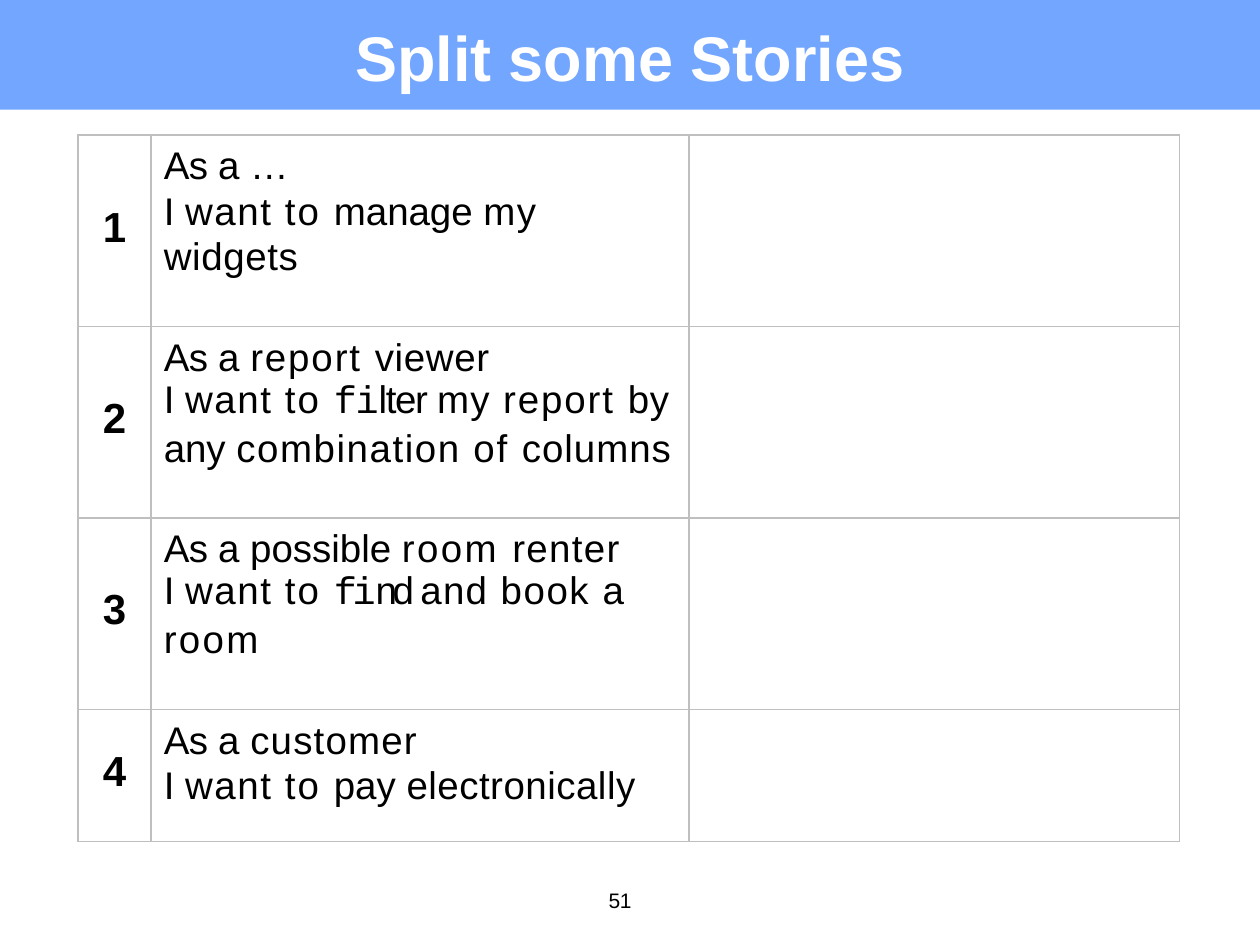
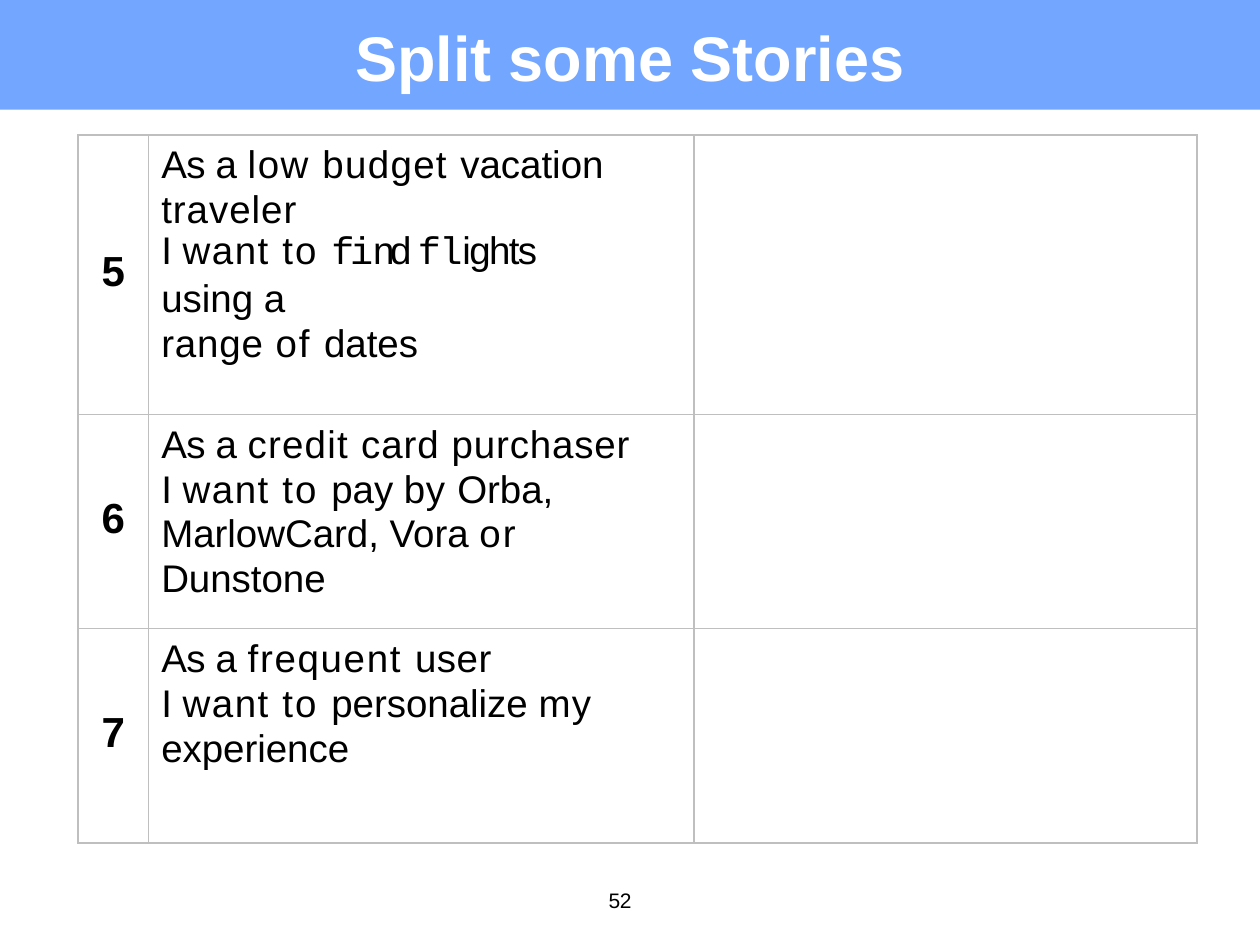
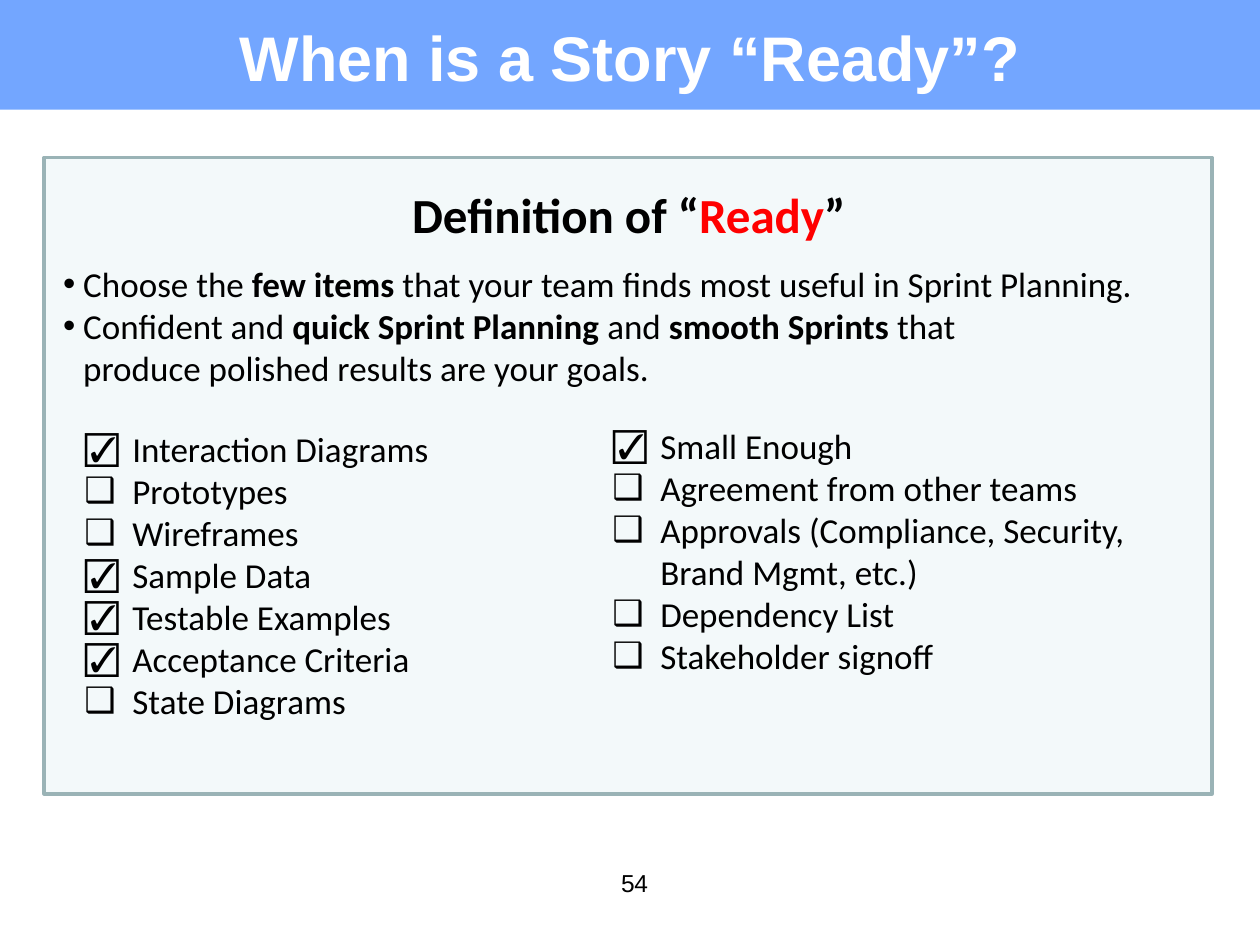
import pptx
import pptx.util
import pptx.dml.color
import pptx.enum.shapes
import pptx.enum.text
import pptx.oxml
import pptx.oxml.ns

Pt = pptx.util.Pt
ALIGN = pptx.enum.text.PP_ALIGN
ANCHOR = pptx.enum.text.MSO_ANCHOR
qn = pptx.oxml.ns.qn

# Shared look
BLUE, WHITE, BLACK, RED = "73A6FF", "FFFFFF", "000000", "FF0000"
RULE, PALE, EDGE = "BFBFBF", "E9F5F6", "9AB3B6"
SANS, BODY, MONO = "Arial", "Calibri", "Courier New"

# The slide is a grid of 100 columns by 75 rows
COLS, ROWS = 100, 75

# Letter spacing of single words, in points
TRACK = {
    "As": -0.3, "report": 1.1, "viewer": 0.4, "want": 0.9, "to": 1.2,
    "my": 0.8, "widgets": 0.4, "by": 0.4, "combination": 0.9, "of": 1.1,
    "columns": 0.6, "room": 1.4, "renter": 0.8, "and": 0.8, "book": 0.9,
    "customer": 0.7, "electronically": 0.3, "low": 0.9, "budget": 0.8,
    "traveler": 0.6, "range": 0.5, "credit": 0.7, "card": 0.6,
    "purchaser": 0.5, "or": 1.2, "frequent": 1, "user": 0.3,
}
# Words that begin with two letters in the mono font, and their spacing
MIXED = {"filter": -0.8, "find": -2.5, "flights": -0.9}

# Stories: number, paragraphs, right margin in columns
FIRST = [
    ("1", ["As a …", "I want to manage my widgets"], 2),
    ("2", ["As a report viewer",
           "I want to filter my report by any combination of columns"], 0),
    ("3", ["As a possible room renter I want to find and book a room"], 4.5),
    ("4", ["As a customer", "I want to pay electronically"], 0),
]
SECOND = [
    ("5", ["As a low budget vacation traveler",
           "I want to find flights using a", "range of dates"], 6),
    ("6", ["As a credit card purchaser I want to pay by Orba,",
           "MarlowCard, Vora or Dunstone"], 4.5),
    ("7", ["As a frequent user", "I want to personalize my experience"], 2),
]

# Checklists: True marks a ticked item
LEFT = [
    (True, "Interaction Diagrams"), (False, "Prototypes"),
    (False, "Wireframes"), (True, "Sample Data"),
    (True, "Testable Examples"), (True, "Acceptance Criteria"),
    (False, "State Diagrams"),
]
RIGHT = [
    (True, "Small Enough"), (False, "Agreement from other teams"),
    (False, "Approvals (Compliance, Security, Brand Mgmt, etc.)"),
    (False, "Dependency List"), (False, "Stakeholder signoff"),
]


def color(code):
    return pptx.dml.color.RGBColor.from_string(code)


def span(cells):
    """Length of some grid cells (a tenth of an inch each)."""
    return pptx.util.Inches(cells / 10)


def place(shape, x, y, w, h):
    shape.left, shape.top, shape.width, shape.height = map(span, (x, y, w, h))


def style(run, size, face=SANS, ink=BLACK, bold=False, track=0):
    font = run.font
    font.size, font.name, font.bold = Pt(size), face, bold
    font.color.rgb = color(ink)
    if track:
        run._r.get_or_add_rPr().set("spc", str(round(track * 100)))


def write(para, text, size, **look):
    run = para.add_run()
    run.text = text
    style(run, size, **look)


def frame(shape, top=0, wrap=True, anchor=ANCHOR.TOP):
    """Clear the insets of a text frame and return it."""
    box = shape.text_frame
    box.auto_size = pptx.enum.text.MSO_AUTO_SIZE.NONE
    box.word_wrap, box.vertical_anchor = wrap, anchor
    box.margin_left = box.margin_right = box.margin_bottom = 0
    box.margin_top = span(top)
    return box


def lines(box, count):
    """Return that many paragraphs of a text frame."""
    for _ in range(count - 1):
        box.add_paragraph()
    return box.paragraphs


def bullet(para, mark, left):
    """Hang the paragraph on a bullet, left given in columns."""
    props = para._p.get_or_add_pPr()
    props.set("marL", str(span(left)))
    props.set("indent", str(-span(left - 0.1)))
    face = pptx.oxml.parse_xml(
        f'<a:buFont {pptx.oxml.ns.nsdecls("a")} typeface="{SANS}"/>')
    char = pptx.oxml.parse_xml(
        f'<a:buChar {pptx.oxml.ns.nsdecls("a")} char="{mark}"/>')
    props.extend([face, char])


def panel(slide, x, y, w, h, fill, line=None, alpha=None):
    shape = slide.shapes.add_shape(
        pptx.enum.shapes.MSO_SHAPE.RECTANGLE, *map(span, (x, y, w, h)))
    shape.shadow.inherit = False
    shape.fill.solid()
    shape.fill.fore_color.rgb = color(fill)
    if alpha:
        tint = shape._element.spPr.find(".//" + qn("a:srgbClr"))
        pptx.oxml.ns  # namespaces come from the tint's own tree
        tint.append(pptx.oxml.parse_xml(
            f'<a:alpha {pptx.oxml.ns.nsdecls("a")} val="{alpha * 1000}"/>'))
    if line:
        shape.line.color.rgb, shape.line.width = color(line), Pt(2)
    else:
        shape.line.fill.background()
    # Keep panels behind the placeholders
    tree = slide.shapes._spTree
    tree.remove(shape._element)
    tree.insert(2, shape._element)


def start(deck, layout, title, width):
    """New slide with the blue band and a centred title."""
    slide = deck.slides.add_slide(deck.slide_layouts.get_by_name(layout))
    panel(slide, 0, 0, COLS, 8.7, BLUE)
    head = slide.shapes.title
    place(head, (COLS - width) / 2, 1.2, width, 6.3)
    box = frame(head, wrap=False, anchor=ANCHOR.BOTTOM)
    box.text = title
    para = box.paragraphs[0]
    para.alignment = ALIGN.CENTER
    style(para.runs[0], 36, ink=WHITE, bold=True)
    return slide


def number(slide, text, x, y, size):
    note = slide.shapes.add_textbox(*map(span, (x, y, 3, 2.3)))
    box = frame(note)
    box.margin_left = span(0.4)
    box.text = text
    para = box.paragraphs[0]
    para.line_spacing = Pt(size * 1.18)
    style(para.runs[0], size, track=-0.2)


def border(cell):
    props = cell._tc.get_or_add_tcPr()
    for spot, side in enumerate("LRTB"):
        props.insert(spot, pptx.oxml.parse_xml(
            f'<a:ln{side} {pptx.oxml.ns.nsdecls("a")} w="{Pt(1)}"><a:solidFill>'
            f'<a:srgbClr val="{RULE}"/></a:solidFill></a:ln{side}>'))


def story(para, text, pitch):
    """Write a story line word by word with its letter spacing."""
    para.line_spacing = Pt(pitch)
    words = text.split()
    for spot, word in enumerate(words):
        tail = " " if spot < len(words) - 1 else ""
        track = MIXED.get(word, TRACK.get(word, 0))
        if word in MIXED:
            write(para, word[:2], 22, face=MONO, track=track)
            word = word[2:]
        write(para, word + tail, 22, track=track)


def table(slide, stories, widths, heights, pitch):
    grid = slide.shapes.add_table(
        len(heights), len(widths),
        *map(span, (6.2, 10.7, sum(widths), sum(heights)))).table
    grid.first_row = grid.horz_banding = False
    for col, width in zip(grid.columns, widths):
        col.width = span(width)
    for row, height in zip(grid.rows, heights):
        row.height = span(height)
    for cell in grid.iter_cells():
        cell.fill.background()
        border(cell)
    for row, (label, texts, right) in enumerate(stories):
        # Number
        cell = grid.cell(row, 0)
        cell.margin_left = cell.margin_right = cell.margin_top = 0
        cell.margin_bottom = span(0.5)
        cell.vertical_anchor = ANCHOR.MIDDLE
        cell.text = label
        para = cell.text_frame.paragraphs[0]
        para.alignment = ALIGN.CENTER
        style(para.runs[0], 24, bold=True)
        # Story
        cell = grid.cell(row, 1)
        cell.margin_left, cell.margin_right = span(1), span(right)
        cell.margin_top, cell.margin_bottom = span(0.6), 0
        for para, text in zip(lines(cell.text_frame, len(texts)), texts):
            story(para, text, pitch)


def checks(shape, items, x, y, w, h):
    place(shape, x, y, w, h)
    box = frame(shape, top=0.1)
    for para, (done, text) in zip(lines(box, len(items)), items):
        para.text = text
        para.space_before = Pt(0)
        bullet(para, "☑" if done else "❑", 3.9)
        style(para.runs[0], 20, face=BODY)


def intro(slide):
    """Definition heading with its two bullet points."""
    note = slide.shapes.add_textbox(*map(span, (4.9, 12.2, 85.2, 18.8)))
    head, choose, goals = lines(frame(note, top=2.4), 3)
    head.alignment = ALIGN.CENTER
    head._p.get_or_add_pPr().set("marL", str(span(4.8)))
    for text, ink in (("Definition of “", BLACK), ("Ready", RED), ("”", BLACK)):
        write(head, text, 28, face=BODY, ink=ink, bold=True)
    choose.space_before = Pt(11.4)
    points = (
        (choose, "Choose the *few items* that your team finds most useful "
                 "in Sprint Planning."),
        (goals, "Confident and *quick Sprint Planning* and *smooth Sprints* "
                "that\nproduce polished results are your goals."),
    )
    for para, text in points:
        bullet(para, "•", 1.7)
        for row, line in enumerate(text.split("\n")):
            if row:
                para.add_line_break()
            # Starred parts are bold
            for spot, part in enumerate(line.split("*")):
                write(para, part, 20, face=BODY, bold=spot % 2 == 1)


def main():
    deck = pptx.Presentation()
    deck.slide_width, deck.slide_height = span(COLS), span(ROWS)

    # Story tables
    slide = start(deck, "Title Only", "Split some Stories", 43.9)
    table(slide, FIRST, (5.8, 42.7, 38.9), (15.2, 15.2, 15.2, 10.5), 26)
    number(slide, "51", 47.9, 70.5, 12)

    slide = start(deck, "Title Only", "Split some Stories", 43.9)
    table(slide, SECOND, (5.6, 43.3, 39.9), (22.2, 17, 17), 25.5)
    number(slide, "52", 47.9, 70.5, 12)

    # Definition of ready
    slide = start(deck, "Two Content", "When is a Story “Ready”?", 62.2)
    panel(slide, 3.5, 12.5, 92.7, 50.5, PALE, line=EDGE, alpha=51)
    intro(slide)
    first, second = list(slide.placeholders)[1:]
    checks(first, LEFT, 6.6, 33.8, 27.7, 23.6)
    checks(second, RIGHT, 48.5, 33.6, 41.2, 20.3)
    number(slide, "54", 48.9, 68.9, 14)

    deck.save("out.pptx")


if __name__ == "__main__":
    main()
